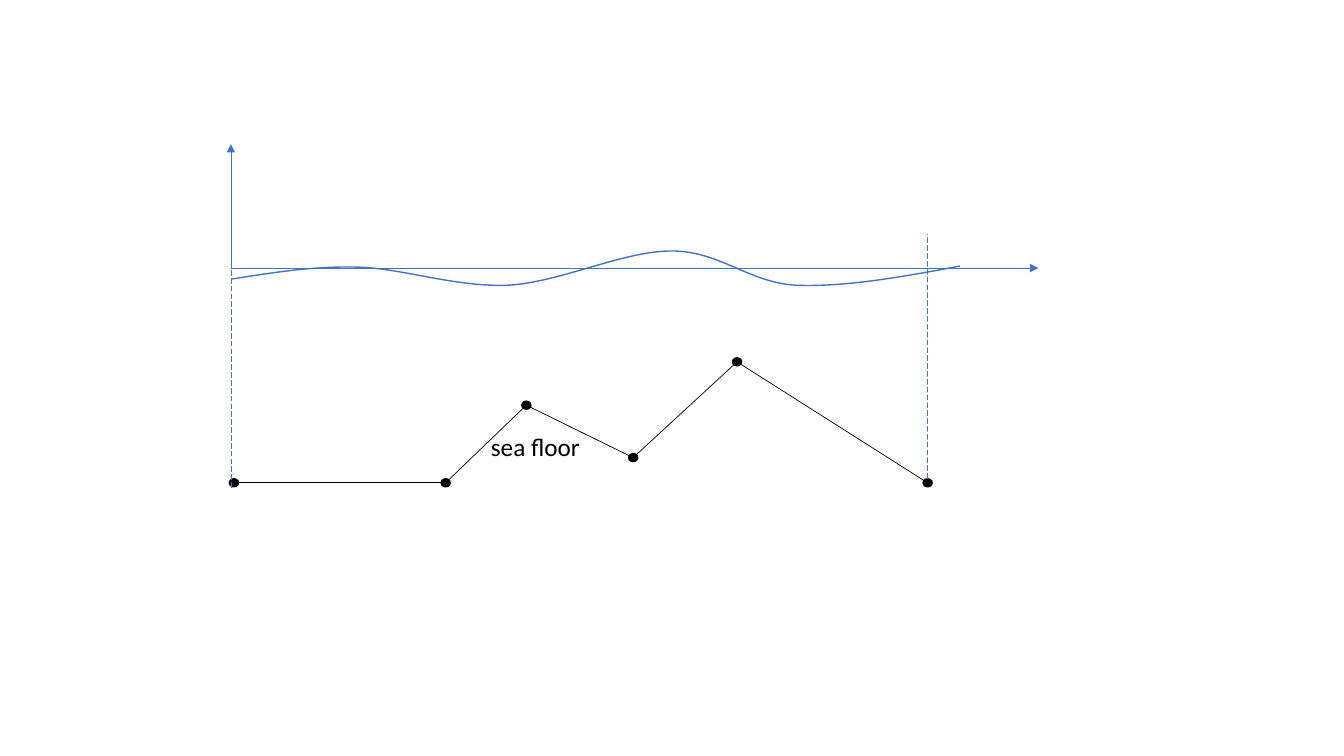
from itertools import pairwise

from lxml.etree import SubElement
from pptx import Presentation
from pptx.dml.color import RGBColor
from pptx.enum.dml import MSO_LINE
from pptx.enum.shapes import MSO_CONNECTOR, MSO_SHAPE
from pptx.enum.text import MSO_AUTO_SIZE
from pptx.oxml.ns import qn
from pptx.util import Inches, Pt

BLUE = "4472C4"
BLACK = "000000"
DOT_WIDTH, DOT_HEIGHT = 0.09, 0.08
ORIGIN = (2.29, 2.66)
FLOOR_POINTS = [(2.32, 4.79), (4.42, 4.79), (5.22, 4.02),
                (6.28, 4.54), (7.31, 3.59), (9.2, 4.79)]
WAVE_POINTS = [(2.29, 2.77),
               (2.68, 2.71), (3.08, 2.64), (3.54, 2.65),
               (3.99, 2.66), (4.51, 2.85), (5.04, 2.83),
               (5.56, 2.8), (6.18, 2.49), (6.66, 2.49),
               (7.14, 2.49), (7.42, 2.8), (7.89, 2.83),
               (8.37, 2.85), (8.94, 2.75), (9.52, 2.64)]


def rgb(color):
    return RGBColor.from_string(color)


def style_line(line, color, width):
    line.color.rgb = rgb(color)
    line.width = Pt(width)


def add_line(shapes, start, end, color, dashed=False, arrow=False):
    connector = shapes.add_connector(
        MSO_CONNECTOR.STRAIGHT, *map(Inches, start + end))
    style_line(connector.line, color, 0.5)
    if dashed:
        connector.line.dash_style = MSO_LINE.LONG_DASH
    if arrow:
        SubElement(connector.get_or_add_ln(), qn("a:tailEnd"), type="triangle")
    SubElement(connector._element.spPr, qn("a:effectLst"))
    return connector


def add_dot(shapes, center):
    x, y = center
    dot = shapes.add_shape(
        MSO_SHAPE.OVAL, Inches(x - DOT_WIDTH / 2), Inches(y - DOT_HEIGHT / 2),
        Inches(DOT_WIDTH), Inches(DOT_HEIGHT))
    dot.shadow.inherit = False
    dot.fill.solid()
    dot.fill.fore_color.rgb = rgb(BLACK)
    style_line(dot.line, BLACK, 1)
    return dot


def add_curve(shapes, points, color, width):
    start, *others = [(Inches(x), Inches(y)) for x, y in points]
    builder = shapes.build_freeform(*start)
    builder.add_line_segments(others, close=False)
    curve = builder.convert_to_shape()
    curve.shadow.inherit = False
    curve.fill.background()
    style_line(curve.line, color, width)
    outline = curve._element.find(".//" + qn("a:path"))
    segments = outline.findall(qn("a:lnTo"))
    for first in range(0, len(segments), 3):
        bezier = SubElement(outline, qn("a:cubicBezTo"))
        for segment in segments[first:first + 3]:
            bezier.append(segment[0])
            outline.remove(segment)
    return curve


def add_text(shapes, text, left, top, width, height, *, size, font, color):
    box = shapes.add_textbox(*map(Inches, (left, top, width, height)))
    frame = box.text_frame
    frame.word_wrap = False
    frame.auto_size = MSO_AUTO_SIZE.SHAPE_TO_FIT_TEXT
    paragraph = frame.paragraphs[0]
    paragraph.text = text
    paragraph.font.size = Pt(size)
    paragraph.font.name = font
    paragraph.font.color.rgb = rgb(color)
    return box


def add_sea_floor(shapes):
    group = shapes.add_group_shape()
    for start, end in pairwise(FLOOR_POINTS):
        add_line(group.shapes, start, end, BLACK)
    return [add_dot(group.shapes, point) for point in FLOOR_POINTS]


def main():
    presentation = Presentation()
    presentation.slide_width = Inches(13.33)
    presentation.slide_height = Inches(7.5)
    slide = presentation.slides.add_slide(presentation.slide_layouts[6])
    shapes = slide.shapes

    add_curve(shapes, WAVE_POINTS, BLUE, 1)
    for axis_end in [(2.29, 1.43), (10.3, 2.66)]:
        add_line(shapes, ORIGIN, axis_end, BLUE, arrow=True)
    dots = add_sea_floor(shapes)
    right_edge = add_line(shapes, (9.2, 4.75), (9.2, 2.32), BLUE, dashed=True)
    right_edge.begin_connect(dots[-1], 0)
    add_line(shapes, (2.29, 4.84), (2.29, 2.64), BLUE, dashed=True)
    add_text(shapes, "sea floor", 4.77, 4.23, 1.09, 0.4,
             size=18, font="Calibri", color=BLACK)

    presentation.save("out.pptx")


if __name__ == "__main__":
    main()
